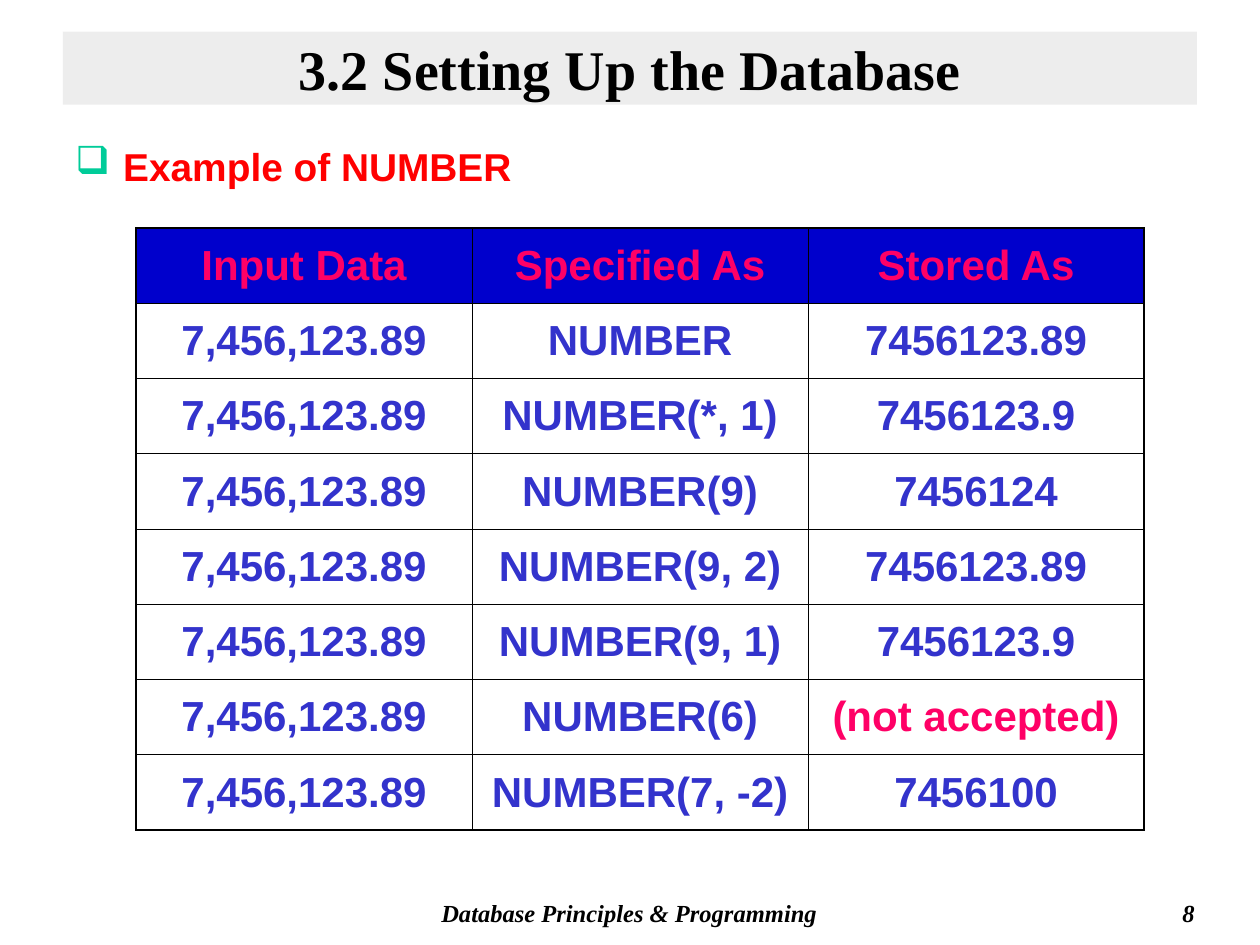
import pptx
import pptx.util
import pptx.dml.color
import pptx.enum.shapes
import pptx.enum.text
import pptx.oxml
import pptx.oxml.ns
from lxml import etree

Inches = pptx.util.Inches
Pt = pptx.util.Pt
ALIGN = pptx.enum.text.PP_ALIGN
MIDDLE = pptx.enum.text.MSO_ANCHOR.MIDDLE
qn = pptx.oxml.ns.qn

COLORS = {"band": "DDDDDD", "black": "000000", "white": "FFFFFF",
          "red": "FF0000", "green": "00CC99", "head": "0000CC",
          "pink": "FF0066", "blue": "3333CC"}

FORMATS = {
    "title": {"name": "Times New Roman", "size": Pt(32), "bold": True},
    "topic": {"name": "Arial", "size": Pt(22.2), "bold": True},
    "cell": {"name": "Arial", "size": Pt(24), "bold": True},
    "foot": {"name": "Times New Roman", "size": Pt(14), "bold": True,
             "italic": True},
}

INPUT = "7,456,123.89"
HEADS = ["Input Data", "Specified As", "Stored As"]
REJECT = "(not accepted)"
CASES = [
    ("NUMBER", "7456123.89"),
    ("NUMBER(*, 1)", "7456123.9"),
    ("NUMBER(9)", "7456124"),
    ("NUMBER(9, 2)", "7456123.89"),
    ("NUMBER(9, 1)", "7456123.9"),
    ("NUMBER(6)", REJECT),
    ("NUMBER(7, -2)", "7456100"),
]
THICK, THIN = 1.08, 0.45


def rgb(color):
    return pptx.dml.color.RGBColor.from_string(COLORS[color])


def write(frame, text, style, color, align):
    para = frame.paragraphs[0]
    para.alignment = align
    run = para.add_run()
    run.text = text
    for key, value in FORMATS[style].items():
        setattr(run.font, key, value)
    run.font.color.rgb = rgb(color)
    return para


def label(slide, box, text, style, color, align):
    shape = slide.shapes.add_textbox(*map(Inches, box))
    shape.text_frame.word_wrap = True
    return write(shape.text_frame, text, style, color, align)


def title(slide, box, text):
    band = slide.shapes.add_shape(
        pptx.enum.shapes.MSO_SHAPE.RECTANGLE, *map(Inches, box))
    band.shadow.inherit = False
    band.line.fill.background()
    band.fill.solid()
    band.fill.fore_color.rgb = rgb("band")
    # Half transparent fill
    tint = band.fill._xPr.find(qn("a:solidFill"))[0]
    etree.SubElement(tint, qn("a:alpha"), val="50000")
    frame = band.text_frame
    frame.word_wrap = True
    frame.vertical_anchor = MIDDLE
    write(frame, text, "title", "black", ALIGN.CENTER)


def topic(slide, box, text):
    para = label(slide, box, text, "topic", "red", ALIGN.LEFT)
    props = para._p.get_or_add_pPr()
    indent = Inches(0.38)
    props.set("marL", str(indent))
    props.set("indent", str(-indent))
    tint = etree.SubElement(props, qn("a:buClr"))
    etree.SubElement(tint, qn("a:srgbClr"), val=COLORS["green"])
    etree.SubElement(props, qn("a:buChar"), char="❑")


def border(cell, widths):
    props = cell._tc.get_or_add_tcPr()
    for side, width in widths.items():
        line = etree.SubElement(props, qn("a:ln" + side), w=str(Pt(width)))
        fill = etree.SubElement(line, qn("a:solidFill"))
        etree.SubElement(fill, qn("a:srgbClr"), val=COLORS["black"])


def table(slide, box, rows):
    high, wide = len(rows), len(rows[0])
    grid = slide.shapes.add_table(high, wide, *map(Inches, box)).table
    grid.first_row = grid.horz_banding = False
    for r, row in enumerate(rows):
        for c, text in enumerate(row):
            cell = grid.cell(r, c)
            # Thick outer frame, thin inner lines
            edges = {"L": c == 0, "R": c == wide - 1,
                     "T": r == 0, "B": r == high - 1}
            border(cell, {side: THICK if outer else THIN
                          for side, outer in edges.items()})
            cell.fill.solid()
            cell.fill.fore_color.rgb = rgb("white" if r else "head")
            cell.vertical_anchor = MIDDLE
            color = "pink" if r == 0 or text == REJECT else "blue"
            write(cell.text_frame, text, "cell", color, ALIGN.CENTER)


def footer(slide, box, text, page):
    left, top, width, height = box
    label(slide, (left, top, 4.33, height), text, "foot", "black",
          ALIGN.CENTER)
    side = 2.08
    label(slide, (left + width - side, top, side, height), page, "foot",
          "black", ALIGN.RIGHT)


def main():
    deck = pptx.Presentation()
    deck.slide_width, deck.slide_height = Inches(10), Inches(7.5)
    slide = deck.slides.add_slide(deck.slide_layouts[6])
    title(slide, (0.5, 0.25, 9, 0.58), "3.2 Setting Up the Database")
    topic(slide, (0.5, 1.08, 9, 0.5), "Example of NUMBER")
    rows = [HEADS] + [(INPUT, *case) for case in CASES]
    table(slide, (1.08, 1.81, 8, 4.78), rows)
    footer(slide, (2.83, 7.08, 6.75, 0.33),
           "Database Principles & Programming", "8")
    deck.save("out.pptx")


if __name__ == "__main__":
    main()
